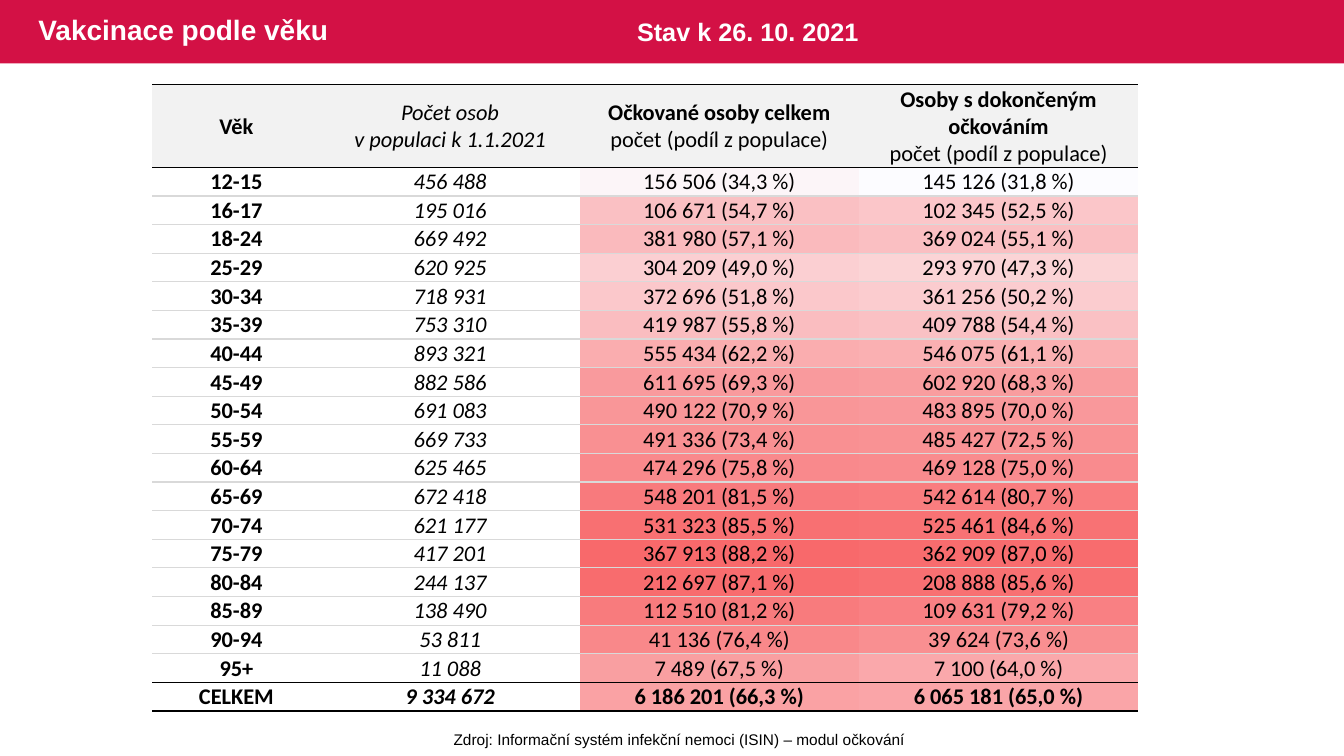
from lxml import etree
from pptx import Presentation
from pptx import util as u
from pptx.dml.color import RGBColor
from pptx.enum import shapes, text
from pptx.oxml.ns import qn

PLAIN_TABLE = "{2D5ABB26-0587-4C30-8999-92F81FD0307C}"
ROW_HEIGHT = 5.4 / 19
HEADER_HEIGHT = 0.82
COLUMN_WIDTHS = [1.67, 2.57, 2.77, 2.77]
TABLE_LEFT, TABLE_TOP = 1.51, 0.84
BLACK, GREY, WHITE = "000000", "D9D9D9", "FFFFFF"
HEAT_LOW, HEAT_HIGH = "FCFCFF", "F8696B"

HEADERS = [
    "Věk",
    "Počet osob\nv populaci k 1.1.2021",
    "Očkované osoby celkem\npočet (podíl z populace)",
    "Osoby s dokončeným očkováním\npočet (podíl z populace)",
]
AGE_GROUPS = [
    ("12-15", "456 488", "156 506", 34.3, "145 126", 31.8),
    ("16-17", "195 016", "106 671", 54.7, "102 345", 52.5),
    ("18-24", "669 492", "381 980", 57.1, "369 024", 55.1),
    ("25-29", "620 925", "304 209", 49.0, "293 970", 47.3),
    ("30-34", "718 931", "372 696", 51.8, "361 256", 50.2),
    ("35-39", "753 310", "419 987", 55.8, "409 788", 54.4),
    ("40-44", "893 321", "555 434", 62.2, "546 075", 61.1),
    ("45-49", "882 586", "611 695", 69.3, "602 920", 68.3),
    ("50-54", "691 083", "490 122", 70.9, "483 895", 70.0),
    ("55-59", "669 733", "491 336", 73.4, "485 427", 72.5),
    ("60-64", "625 465", "474 296", 75.8, "469 128", 75.0),
    ("65-69", "672 418", "548 201", 81.5, "542 614", 80.7),
    ("70-74", "621 177", "531 323", 85.5, "525 461", 84.6),
    ("75-79", "417 201", "367 913", 88.2, "362 909", 87.0),
    ("80-84", "244 137", "212 697", 87.1, "208 888", 85.6),
    ("85-89", "138 490", "112 510", 81.2, "109 631", 79.2),
    ("90-94", "53 811", "41 136", 76.4, "39 624", 73.6),
    ("95+", "11 088", "7 489", 67.5, "7 100", 64.0),
    ("CELKEM", "9 334 672", "6 186 201", 66.3, "6 065 181", 65.0),
]


def rgb(value):
    return RGBColor.from_string(value)


def format_runs(paragraph, font, size, color, bold=False, italic=False):
    for run in paragraph.runs:
        run.font.name = font
        run.font.size = u.Pt(size)
        run.font.color.rgb = rgb(color)
        run.font.bold = bold
        run.font.italic = italic


def heat_color(share, lowest, highest):
    weight = (share - lowest) / (highest - lowest)
    channels = zip(rgb(HEAT_LOW), rgb(HEAT_HIGH))
    return "".join(f"{round(a + (b - a) * weight):02X}" for a, b in channels)


def count_and_share(count, share):
    return f"{count} ({share:.1f} %)".replace(".", ",")


def add_plain_table(slide, left, top, widths, heights):
    frame = slide.shapes.add_table(
        len(heights), len(widths), u.Inches(left), u.Inches(top),
        u.Inches(sum(widths)), u.Inches(sum(heights)))
    table = frame.table
    table.first_row = table.horz_banding = False
    table._tbl.tblPr.find(qn("a:tableStyleId")).text = PLAIN_TABLE
    for column, width in zip(table.columns, widths):
        column.width = u.Inches(width)
    for row, height in zip(table.rows, heights):
        row.height = u.Inches(height)
    for cell in table.iter_cells():
        cell.margin_left = cell.margin_right = cell.margin_top = u.Inches(0.01)
        cell.margin_bottom = 0
        cell.vertical_anchor = text.MSO_ANCHOR.MIDDLE
    return table


def set_borders(cell, top, bottom):
    properties = cell._tc.get_or_add_tcPr()
    for position, (side, color) in enumerate((("a:lnT", top), ("a:lnB", bottom))):
        line = etree.Element(qn(side), w=str(u.Pt(1)))
        fill = etree.SubElement(line, qn("a:solidFill"))
        etree.SubElement(fill, qn("a:srgbClr"), val=color)
        properties.insert(position, line)


def add_heat_table(slide):
    shares = [(group[3], group[5]) for group in AGE_GROUPS]
    lowest, highest = min(map(min, shares)), max(map(max, shares))
    table = add_plain_table(
        slide, TABLE_LEFT + sum(COLUMN_WIDTHS[:2]), TABLE_TOP + HEADER_HEIGHT,
        COLUMN_WIDTHS[2:], [ROW_HEIGHT] * len(shares))
    for row, pair in enumerate(shares):
        for column, share in enumerate(pair):
            cell = table.cell(row, column)
            cell.fill.solid()
            cell.fill.fore_color.rgb = rgb(heat_color(share, lowest, highest))
            paragraph = cell.text_frame.paragraphs[0]
            etree.SubElement(paragraph._p, qn("a:endParaRPr"), sz="1000")


def add_age_table(slide):
    rows = [HEADERS] + [
        (age, population, count_and_share(*vaccinated), count_and_share(*completed))
        for age, population, *doses in AGE_GROUPS
        for vaccinated, completed in [(doses[:2], doses[2:])]
    ]
    total = len(rows) - 1
    table = add_plain_table(slide, TABLE_LEFT, TABLE_TOP, COLUMN_WIDTHS,
                            [HEADER_HEIGHT] + [ROW_HEIGHT] * total)
    for row, values in enumerate(rows):
        top = BLACK if row in (0, 1, total) else GREY
        bottom = BLACK if row in (0, total - 1, total) else GREY
        for column, value in enumerate(values):
            cell = table.cell(row, column)
            cell.text_frame.text = value
            if row == 0:
                cell.fill.solid()
                cell.fill.fore_color.rgb = rgb("F2F2F2")
            else:
                cell.fill.background()
            set_borders(cell, top, bottom)
            for index, paragraph in enumerate(cell.text_frame.paragraphs):
                paragraph.alignment = text.PP_ALIGN.CENTER
                header_bold = row == 0 and column > 1 and index == 0
                format_runs(paragraph, "Calibri", 16, BLACK,
                            bold=column == 0 or row == total or header_bold,
                            italic=column == 1)


def add_banner(slide, width):
    banner = slide.shapes.add_shape(
        shapes.MSO_SHAPE.RECTANGLE, 0, 0, width, u.Inches(0.63))
    banner.shadow.inherit = False
    banner.fill.solid()
    banner.fill.fore_color.rgb = rgb("D31145")
    banner.line.fill.background()
    slide.shapes._spTree.insert(2, banner._element)


def set_title(slide, wording):
    title = slide.shapes.title
    title.left, title.top = u.Inches(0.28), 0
    title.width, title.height = u.Inches(8.13), u.Inches(0.63)
    title.text_frame.text = wording
    title.text_frame.vertical_anchor = text.MSO_ANCHOR.MIDDLE
    paragraph = title.text_frame.paragraphs[0]
    paragraph.alignment = text.PP_ALIGN.LEFT
    paragraph.line_spacing = 0.9
    format_runs(paragraph, "Arial", 20, WHITE, bold=True)


def add_label(slide, box, wording, size, color, bold, align, wrap):
    label = slide.shapes.add_textbox(*map(u.Inches, box))
    label.text_frame.word_wrap = wrap
    label.text_frame.auto_size = text.MSO_AUTO_SIZE.SHAPE_TO_FIT_TEXT
    label.text_frame.text = wording
    paragraph = label.text_frame.paragraphs[0]
    paragraph.alignment = align
    format_runs(paragraph, "Arial", size, color, bold)


def main():
    deck = Presentation()
    deck.slide_width, deck.slide_height = u.Inches(13.33), u.Inches(7.5)
    slide = deck.slides.add_slide(deck.slide_layouts[5])
    add_banner(slide, deck.slide_width)
    set_title(slide, "Vakcinace podle věku")
    add_heat_table(slide)
    add_label(slide, (4.39, 7.19, 4.7, 0.29),
              "Zdroj: Informační systém infekční nemoci (ISIN) – modul očkování",
              11, BLACK, False, text.PP_ALIGN.CENTER, False)
    add_age_table(slide)
    add_label(slide, (6.22, 0.11, 2.59, 0.4), "Stav k 26. 10. 2021",
              18, WHITE, True, text.PP_ALIGN.LEFT, True)
    deck.save("out.pptx")


if __name__ == "__main__":
    main()
